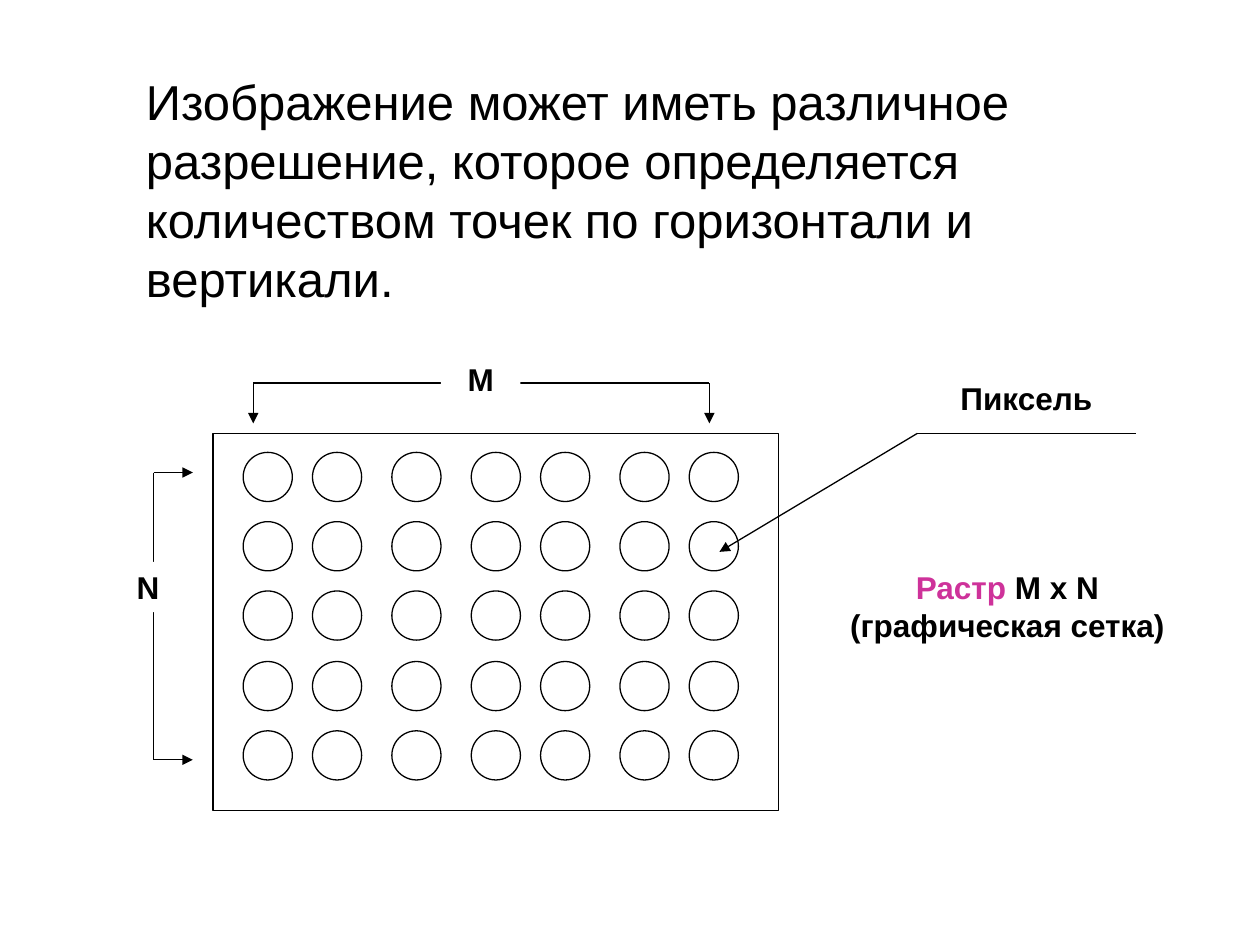
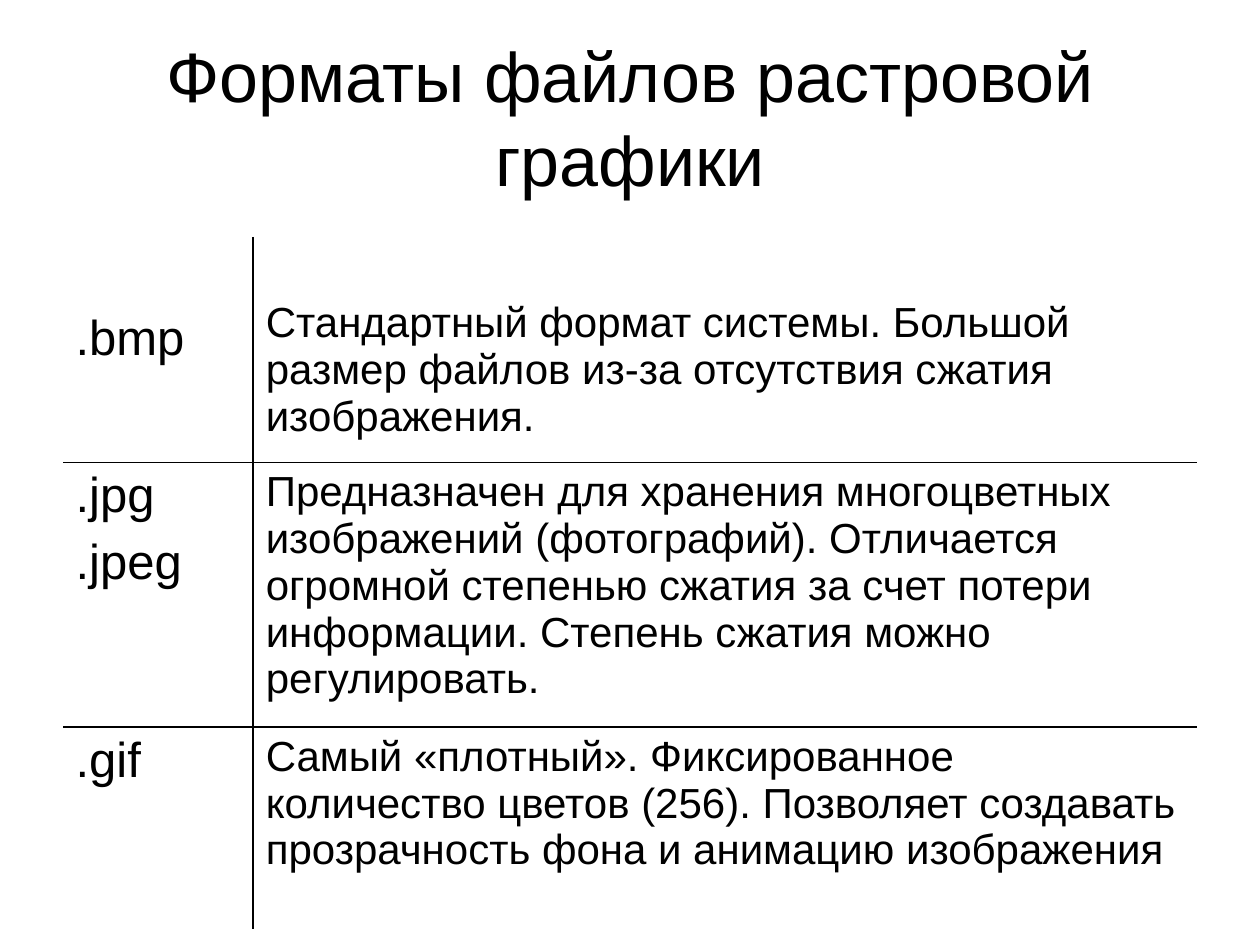
from lxml import etree
from pptx import Presentation
from pptx.dml.color import RGBColor
from pptx.enum.shapes import MSO_CONNECTOR, MSO_SHAPE
from pptx.enum.text import MSO_ANCHOR, PP_ALIGN
from pptx.oxml.ns import qn
from pptx.util import Pt

PX = 9144
FONT = "Arial"
COLORS = {"ink": "000000", "paper": "FFFFFF", "accent": "CE329A"}
STRAIGHT = MSO_CONNECTOR.STRAIGHT
RECTANGLE, OVAL = MSO_SHAPE.RECTANGLE, MSO_SHAPE.OVAL
CENTER, LEFT = PP_ALIGN.CENTER, PP_ALIGN.LEFT
MIDDLE, TOP = MSO_ANCHOR.MIDDLE, MSO_ANCHOR.TOP


def add_run(paragraph, text, size, color="ink", bold=False):
    run = paragraph.add_run()
    run.text = text
    run.font.name = FONT
    run.font.size = Pt(size)
    run.font.bold = bold
    run.font.color.rgb = RGBColor.from_string(COLORS[color])


def add_line(shapes, start_x, start_y, end_x, end_y, arrow=False):
    ends = [length * PX for length in (start_x, start_y, end_x, end_y)]
    connector = shapes.add_connector(STRAIGHT, *ends)
    connector.line.color.rgb = RGBColor.from_string(COLORS["ink"])
    connector.line.width = Pt(0.75)
    if arrow:
        etree.SubElement(connector.line._get_or_add_ln(), qn("a:tailEnd"), type="triangle")
    etree.SubElement(connector._element.spPr, qn("a:effectLst"))


presentation = Presentation()
presentation.slide_width = 1000 * PX
presentation.slide_height = 750 * PX
title_only, blank = presentation.slide_layouts[5], presentation.slide_layouts[6]

slide = presentation.slides.add_slide(blank)
shapes = slide.shapes

intro = shapes.add_textbox(106 * PX, 52 * PX, 733 * PX, 197 * PX)
intro.text_frame.word_wrap = True
add_run(
    intro.text_frame.paragraphs[0],
    "Изображение может иметь различное разрешение, которое определяется "
    "количеством точек по горизонтали и вертикали.",
    28,
)

outlines = [(RECTANGLE, 169, 344, 449, 299)]
for column_left in (193, 248, 311, 374, 429, 492, 547):
    for row in range(5):
        outlines.append((OVAL, column_left, 359 + round(row * 55.25), 39, 39))
for kind, left, top, width, height in outlines:
    shape = shapes.add_shape(kind, left * PX, top * PX, width * PX, height * PX)
    shape.shadow.inherit = False
    shape.fill.background()
    shape.line.color.rgb = RGBColor.from_string(COLORS["ink"])
    shape.line.width = Pt(0.75)

add_line(shapes, 201, 304, 563, 304)
for bracket_x in (201, 563):
    add_line(shapes, bracket_x, 304, bracket_x, 336, arrow=True)
add_line(shapes, 122, 375, 122, 603)
for bracket_y in (375, 603):
    add_line(shapes, 122, bracket_y, 153, bracket_y, arrow=True)
add_line(shapes, 728, 344, 571, 438, arrow=True)
add_line(shapes, 728, 344, 902, 344)

labels = [
    (350, 281, 63, 40, "paper", [[("М", "ink")]]),
    (90, 446, 55, 40, "paper", [[("N", "ink")]]),
    (712, 296, 205, 40, None, [[("Пиксель", "ink")]]),
    (650, 446, 299, 100, None,
     [[("Растр ", "accent"), ("M x N", "ink")], [("(графическая сетка)", "ink")]]),
]
for left, top, width, height, fill, lines in labels:
    label = shapes.add_textbox(left * PX, top * PX, width * PX, height * PX)
    if fill:
        label.fill.solid()
        label.fill.fore_color.rgb = RGBColor.from_string(COLORS[fill])
    label.text_frame.word_wrap = True
    paragraph = label.text_frame.paragraphs[0]
    paragraph.alignment = CENTER
    for index, line in enumerate(lines):
        if index:
            paragraph.add_line_break()
        for text, color in line:
            add_run(paragraph, text, 18, color, bold=True)

slide = presentation.slides.add_slide(title_only)
title = slide.shapes.title
title.left, title.top, title.width, title.height = 50 * PX, 30 * PX, 900 * PX, 125 * PX
title.text_frame.vertical_anchor = MIDDLE
title.text_frame.paragraphs[0].alignment = CENTER
add_run(title.text_frame.paragraphs[0], "Форматы файлов растровой графики", 40)

formats = [
    ([".bmp"],
     "Стандартный формат системы. Большой размер файлов из-за отсутствия "
     "сжатия изображения."),
    ([".jpg", ".jpeg"],
     "Предназначен для хранения многоцветных изображений (фотографий). "
     "Отличается огромной степенью сжатия за счет потери информации. "
     "Степень сжатия можно регулировать."),
    ([".gif"],
     "Самый «плотный». Фиксированное количество цветов (256). Позволяет "
     "создавать прозрачность фона и анимацию изображения"),
]
table = slide.shapes.add_table(3, 2, 50 * PX, 188 * PX, 900 * PX, 549 * PX).table
table.first_row = False
table.horz_banding = False
for column, width in zip(table.columns, (151, 749)):
    column.width = width * PX
for row, height in zip(table.rows, (179, 210, 160)):
    row.height = height * PX

for row_index, (extensions, description) in enumerate(formats):
    for column_index, (texts, size, space, first_top) in enumerate(
        [(extensions, 28, 7, 59), ([description], 24, 6, 50)]
    ):
        cell = table.cell(row_index, column_index)
        cell.margin_left = cell.margin_right = 10 * PX
        cell.margin_top = (5 if row_index else first_top) * PX
        cell.margin_bottom = 5 * PX
        cell.vertical_anchor = TOP
        for index, text in enumerate(texts):
            paragraph = cell.text_frame.paragraphs[0]
            if index:
                paragraph = cell.text_frame.add_paragraph()
                paragraph.space_before = Pt(space)
            paragraph.alignment = LEFT
            add_run(paragraph, text, size)
        borders = {
            "lnL": column_index == 1,
            "lnR": column_index == 0,
            "lnT": row_index > 0,
            "lnB": row_index < 2,
        }
        properties = cell._tc.get_or_add_tcPr()
        for side, visible in borders.items():
            border = etree.SubElement(properties, qn(f"a:{side}"), w=str(Pt(1.08)))
            if visible:
                solid = etree.SubElement(border, qn("a:solidFill"))
                etree.SubElement(solid, qn("a:srgbClr"), val=COLORS["ink"])
            else:
                etree.SubElement(border, qn("a:noFill"))
        cell.fill.background()

presentation.save("out.pptx")
